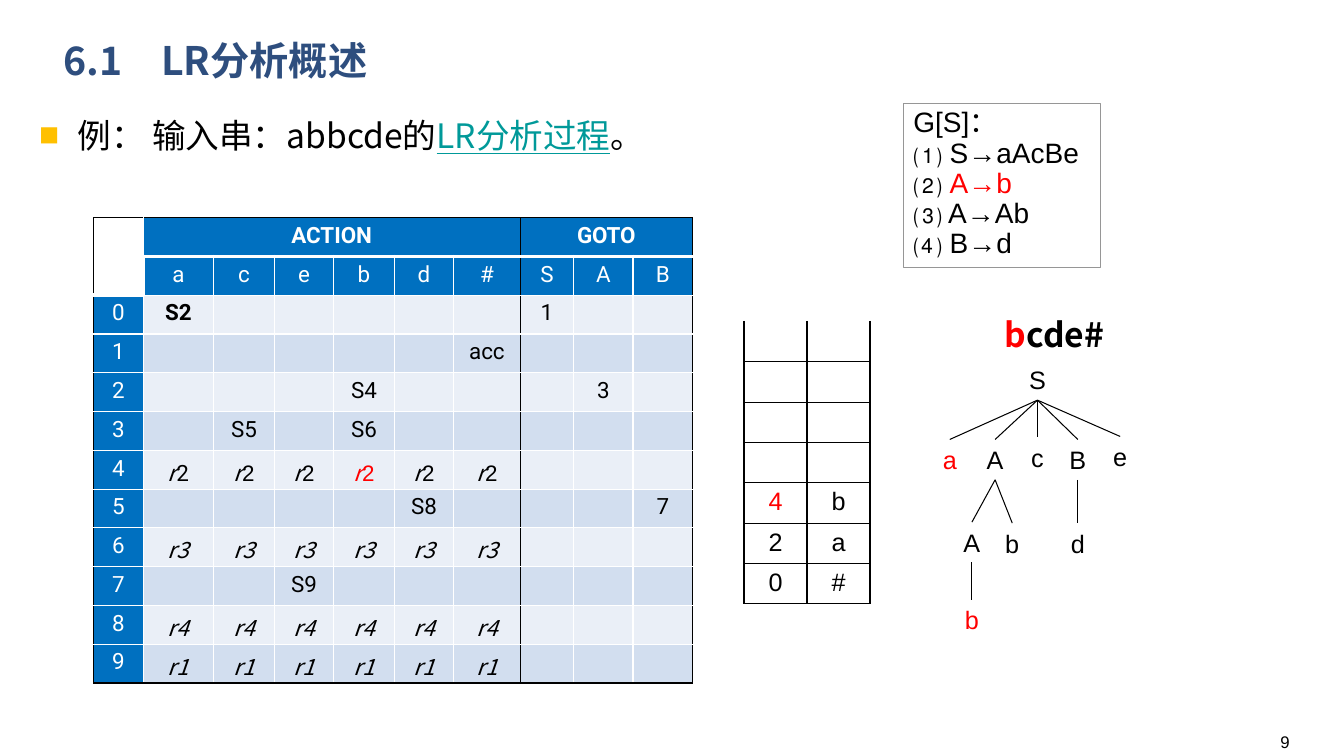
from lxml import etree
from pptx import Presentation
from pptx import util as u
from pptx.dml.color import RGBColor
from pptx.enum import shapes, text
from pptx.oxml.ns import qn

PX = 9144  # EMU in one px, 100 px to the inch
ARIAL, NOTO, ROBOTO = "Arial", "Noto Sans CJK SC", "Roboto"
BLACK, WHITE, RED, BLUE = "000000", "FFFFFF", "FF0000", "0070C0"
BANDS = ["EAEFF7", "D2DEEF"]
CENTER, RIGHT = text.PP_ALIGN.CENTER, text.PP_ALIGN.RIGHT

PARSE_WIDTHS = [49, 70, 60, 59, 60, 59, 66, 53, 59, 59]
SYMBOLS = "acebd#SAB"
ACTIONS = "acebd#"
STATES = [
    {"a": "S2", "S": "1"},
    {"#": "acc"},
    {"b": "S4", "A": "3"},
    {"c": "S5", "b": "S6"},
    dict.fromkeys(ACTIONS, "r2"),
    {"d": "S8", "B": "7"},
    dict.fromkeys(ACTIONS, "r3"),
    {"e": "S9"},
    dict.fromkeys(ACTIONS, "r4"),
    dict.fromkeys(ACTIONS, "r1"),
]
STACK = [("", "")] * 4 + [("4", "b"), ("2", "a"), ("0", "#")]

# name: (symbol, centre x, top, colour, parent)
TREE = {
    "S": ("S", 1029, 357, BLACK, None),
    "a": ("a", 942, 436, RED, "S"),
    "A": ("A", 987, 436, BLACK, "S"),
    "c": ("c", 1029, 434, BLACK, "S"),
    "B": ("B", 1069, 436, BLACK, "S"),
    "e": ("e", 1111, 433, BLACK, "S"),
    "inner A": ("A", 964, 518, BLACK, "A"),
    "second b": ("b", 1004, 519, BLACK, "A"),
    "d": ("d", 1069, 519, BLACK, "B"),
    "first b": ("b", 964, 595, RED, "inner A"),
}


def px(*lengths):
    return [u.Emu(length * PX) for length in lengths]


def rgb(color):
    return RGBColor.from_string(color)


def add_span(para, words, font=ARIAL, size=18, color=BLACK, bold=False, italic=False,
             underline=False):
    span = para.add_run()
    span.text = words
    face = span.font
    face.name, face.size, face.color.rgb = font, u.Pt(size), rgb(color)
    face.bold, face.italic, face.underline = bold, italic, underline
    if font == NOTO:
        latin = face._element.find(qn("a:latin"))
        latin.addnext(latin.makeelement(qn("a:ea"), {"typeface": font}))


def add_text(holder, left, top, width, height, align=None, anchor=text.MSO_ANCHOR.TOP):
    """Add an empty wrapping text box and return it with its first paragraph."""
    box = holder.add_textbox(*px(left, top, width, height))
    box.text_frame.word_wrap = True
    box.text_frame.vertical_anchor = anchor
    para = box.text_frame.paragraphs[0]
    para.alignment = align
    return box, para


def add_bullet(para, symbol, color, indent):
    props = para._p.get_or_add_pPr()
    props.set("marL", str(indent * PX))
    props.set("indent", str(-indent * PX))
    bullet_color = etree.SubElement(props, qn("a:buClr"))
    etree.SubElement(bullet_color, qn("a:srgbClr"), val=color)
    etree.SubElement(props, qn("a:buSzPct"), val="60000")
    etree.SubElement(props, qn("a:buFont"), typeface=NOTO)
    etree.SubElement(props, qn("a:buChar"), char=symbol)


def style_cell(cell, fill=None, **borders):
    """Set the fill and the borders, each side given as (colour, points)."""
    props = cell._tc.get_or_add_tcPr()
    for side in "LRTB":
        color, points = borders[side]
        line = etree.SubElement(props, qn("a:ln" + side), w=str(u.Pt(points)))
        solid = etree.SubElement(line, qn("a:solidFill"))
        etree.SubElement(solid, qn("a:srgbClr"), val=color)
    if fill:
        cell.fill.solid()
        cell.fill.fore_color.rgb = rgb(fill)
    else:
        cell.fill.background()
    cell.margin_bottom = 0
    para = cell.text_frame.paragraphs[0]
    para.alignment = CENTER
    return para


def add_grid(page, rows, columns, left, top, width, height):
    grid = page.shapes.add_table(rows, columns, *px(left, top, width, height)).table
    grid.first_row = grid.horz_banding = False
    return grid


def parse_borders(row, first, last):
    """Borders of a parse table cell that covers columns first to last."""
    outer, inner, thick = (BLACK, 1), (WHITE, 1), (WHITE, 3)
    return {
        "L": outer if first in (0, 7) else thick if (row, first) == (1, 1) else inner,
        "R": outer if last in (6, 9) else inner,
        "T": outer if row == 0 else thick if row == 1 or (row, first) == (2, 0) else inner,
        "B": thick if row == 0 else outer if row == 11 else inner,
    }


def add_entry(para, entry, symbol):
    """Write one action or goto value, with reductions in italics."""
    if entry == "r2":
        color = RED if symbol == "b" else BLACK
        add_span(para, "r", NOTO, 16, color, italic=True)
        add_span(para, "2", ROBOTO if symbol == "a" else ARIAL, 16, color)
    elif entry.startswith("r"):
        add_span(para, entry, NOTO, 16, italic=True)
    elif entry:
        add_span(para, entry, ROBOTO, 16, bold=entry == "S2")


def add_parse_table(page):
    grid = add_grid(page, len(STATES) + 2, len(PARSE_WIDTHS), 93, 216, 594, 462)
    for column, width in zip(grid.columns, px(*PARSE_WIDTHS)):
        column.width = width
    grid.cell(0, 0).merge(grid.cell(1, 0))
    for row in (0, 1):
        style_cell(grid.cell(row, 0), **parse_borders(0, 0, 0))
    for title, first, last in [("ACTION", 1, 6), ("GOTO", 7, 9)]:
        grid.cell(0, first).merge(grid.cell(0, last))
        for column in range(first, last + 1):
            para = style_cell(grid.cell(0, column), BLUE, **parse_borders(0, first, last))
            if column == first:
                add_span(para, title, ROBOTO, 16, WHITE, bold=True)
    for column, symbol in enumerate(SYMBOLS, 1):
        para = style_cell(grid.cell(1, column), BLUE, **parse_borders(1, column, column))
        add_span(para, symbol, ROBOTO, 16, WHITE)
    for state, entries in enumerate(STATES):
        row = state + 2
        para = style_cell(grid.cell(row, 0), BLUE, **parse_borders(row, 0, 0))
        add_span(para, str(state), ROBOTO, 16, WHITE)
        for column, symbol in enumerate(SYMBOLS, 1):
            para = style_cell(grid.cell(row, column), BANDS[state % 2],
                              **parse_borders(row, column, column))
            add_entry(para, entries.get(symbol, ""), symbol)


def add_stack(page):
    grid = add_grid(page, len(STACK), 2, 738, 319, 125, 280)
    for row, values in enumerate(STACK):
        for column, value in enumerate(values):
            borders = dict.fromkeys("LRTB", (BLACK, 1))
            if row == 0:
                borders["T"] = (WHITE, 1)
            para = style_cell(grid.cell(row, column), **borders)
            if value:
                add_span(para, value, color=RED if value == "4" else BLACK)


def add_grammar(page):
    box = page.shapes.add_shape(shapes.MSO_SHAPE.RECTANGLE, *px(896, 103, 196, 162))
    box.shadow.inherit = False
    box.fill.background()
    box.line.color.rgb, box.line.width = rgb("969696"), u.Pt(0.75)
    frame = box.text_frame
    frame.word_wrap, frame.vertical_anchor = True, text.MSO_ANCHOR.TOP
    rules = [("G[S]：", ""), ("⑴ ", "S→aAcBe"), ("⑵ ", "A→b"), ("⑶ ", "A→Ab"), ("⑷ ", "B→d")]
    for number, (label, rule) in enumerate(rules):
        para = frame.add_paragraph() if number else frame.paragraphs[0]
        para.alignment, para.line_spacing = text.PP_ALIGN.LEFT, 0.9
        if rule == "A→b":
            add_span(para, label, size=20)
            add_span(para, rule, size=20, color=RED)
        else:
            add_span(para, label + rule, size=20)


def add_tree(page):
    group = page.shapes.add_group_shape().shapes
    nodes = {}
    for name, (symbol, center, top, color, parent) in TREE.items():
        nodes[name], para = add_text(group, center - 23, top, 46, 40, CENTER)
        add_span(para, symbol, color=color)
        if parent:
            branch = group.add_connector(shapes.MSO_CONNECTOR.STRAIGHT, 0, 0, 0, 0)
            branch.begin_connect(nodes[parent], 2)
            branch.end_connect(nodes[name], 0)
            branch.line.color.rgb, branch.line.width = rgb(BLACK), u.Pt(0.75)
            etree.SubElement(branch._element.spPr, qn("a:effectLst"))


def main():
    deck = Presentation()
    deck.slide_width, deck.slide_height = px(1333, 750)
    page = deck.slides.add_slide(deck.slide_layouts[6])

    _, para = add_text(page.shapes, 53, 28, 1150, 68, anchor=text.MSO_ANCHOR.MIDDLE)
    para.line_spacing = 0.9
    add_span(para, "6.1　LR分析概述", NOTO, 28, "2E4E7E", bold=True)

    _, para = add_text(page.shapes, 29, 105, 1150, 56)
    para.line_spacing = 1.1
    add_bullet(para, "■", "FFC000", 38)
    add_span(para, "例： 输入串：abbcde的", NOTO, 24)
    add_span(para, "LR分析过程", NOTO, 24, "009999", underline=True)
    add_span(para, "。", NOTO, 24)

    add_grammar(page)
    add_parse_table(page)
    add_stack(page)

    _, para = add_text(page.shapes, 921, 307, 184, 50, RIGHT)
    add_span(para, "b", NOTO, 24, RED, bold=True)
    add_span(para, "cde#", NOTO, 24, bold=True)
    add_tree(page)

    _, para = add_text(page.shapes, 1056, 721, 233, 27, RIGHT)
    add_span(para, "9", size=12)
    deck.save("out.pptx")


if __name__ == "__main__":
    main()
